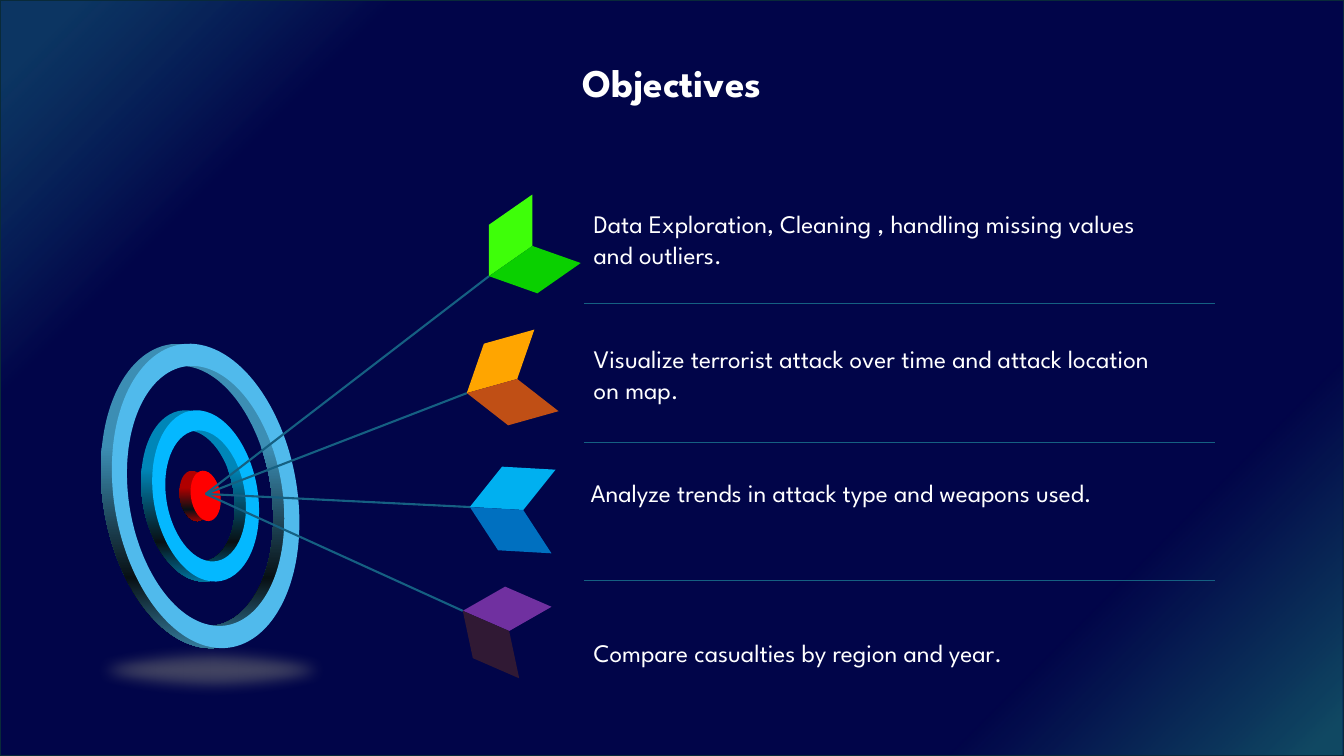
from math import cos, pi, radians, sin

from lxml.etree import SubElement
from pptx import Presentation
from pptx.dml.color import RGBColor
from pptx.enum.shapes import MSO_CONNECTOR, MSO_SHAPE
from pptx.enum.text import MSO_AUTO_SIZE, PP_ALIGN
from pptx.oxml import parse_xml
from pptx.oxml.ns import nsdecls, qn
from pptx.util import Inches, Pt

FONT = "League Spartan"
WHITE = RGBColor(0xFF, 0xFF, 0xFF)
BASE = RGBColor(0x00, 0x00, 0x66)
NAVY = RGBColor(0x02, 0x06, 0x46)
TEAL = RGBColor(0x10, 0x48, 0x62)
FRAME = RGBColor(0x09, 0x2A, 0x39)
LINE = RGBColor(0x15, 0x60, 0x82)
GREY = RGBColor(0x74, 0x74, 0x74)
BLACK = RGBColor(0x08, 0x10, 0x14)
SKY = RGBColor(0x50, 0xBA, 0xEC)
SKY_SIDE = RGBColor(0x3C, 0x8E, 0xB4)
CYAN = RGBColor(0x04, 0xB8, 0xFF)
CYAN_SIDE = RGBColor(0x00, 0x86, 0xB8)
RED = RGBColor(0xFF, 0x00, 0x00)
RED_SIDE = RGBColor(0xB0, 0x00, 0x00)
LIME = RGBColor(0x3E, 0xFF, 0x09)
GREEN = RGBColor(0x0A, 0xD0, 0x00)
ORANGE = RGBColor(0xFF, 0xA5, 0x00)
RUST = RGBColor(0xC0, 0x4F, 0x15)
AZURE = RGBColor(0x00, 0xB0, 0xF0)
BLUE = RGBColor(0x00, 0x70, 0xC0)
PURPLE = RGBColor(0x70, 0x30, 0xA0)
PLUM = RGBColor(0x30, 0x19, 0x34)

HUB = (2.04, 4.9)
CENTER = (2.04, 4.92)
DEPTH = 0.11
TILT = radians(10)
BEND = 0.55

RINGS = [
    ((0.93, 1.51), (0.78, 1.29), SKY, SKY_SIDE),
    ((0.53, 0.85), (0.4, 0.65), CYAN, CYAN_SIDE),
    ((0.15, 0.25), None, RED, RED_SIDE),
]
ARROWS = [
    ((4.85, 2.74), (5.28, 2.44), (0, -0.51), (0.48, 0.17), LIME, GREEN),
    ((4.63, 3.9), (5.13, 3.76), (0.17, -0.49), (0.41, 0.32), ORANGE, RUST),
    ((4.66, 5.03), (5.19, 5.06), (0.32, -0.4), (0.28, 0.43), AZURE, BLUE),
    ((4.59, 6.06), (5.05, 6.26), (0.42, -0.24), (0.1, 0.47), PURPLE, PLUM),
]
OBJECTIVES = [
    (5.79, 2.02, 0.71, "Data Exploration, Cleaning , handling missing values and outliers."),
    (5.79, 3.36, 0.71, "Visualize terrorist attack over time and attack location on map."),
    (5.76, 4.69, 0.71, "Analyze trends in attack type and weapons used."),
    (5.79, 6.27, 0.4, "Compare casualties by region and year."),
]
DIVIDERS = [3.01, 4.39, 5.76]


def set_gradient(sp, stops, angle):
    """Fill a shape with (position, colour, opacity) stops."""
    sp.fill.background()
    spPr = sp._element.spPr
    marks = "".join(
        f'<a:gs pos="{pos * 1000}"><a:srgbClr val="{color}">'
        f'<a:alpha val="{alpha * 1000}"/></a:srgbClr></a:gs>'
        for pos, color, alpha in stops
    )
    grad = parse_xml(
        f'<a:gradFill {nsdecls("a")} rotWithShape="1"><a:gsLst>{marks}</a:gsLst>'
        f'<a:lin ang="{angle * 60000}" scaled="0"/></a:gradFill>'
    )
    spPr.replace(spPr.find(qn("a:noFill")), grad)


def add_backdrop(s):
    """Cover the slide with the diagonal gradient."""
    s.background.fill.solid()
    s.background.fill.fore_color.rgb = BASE
    sp = s.shapes.add_shape(MSO_SHAPE.RECTANGLE, 0, 0, Inches(13.33), Inches(7.5))
    sp.shadow.inherit = False
    set_gradient(sp, [(2, TEAL, 100), (19, NAVY, 90), (81, NAVY, 90), (96, TEAL, 75)], 225)
    sp.line.color.rgb = FRAME
    sp.line.width = Pt(1.5)


def add_ground_shadow(s):
    """Draw the soft ellipse below the target."""
    sp = s.shapes.add_shape(
        MSO_SHAPE.OVAL, Inches(0.73), Inches(6.37), Inches(2.73), Inches(0.55)
    )
    sp.shadow.inherit = False
    sp.fill.solid()
    sp.fill.fore_color.rgb = GREY
    color = sp._element.spPr.find(qn("a:solidFill"))[0]
    SubElement(color, qn("a:alpha")).set("val", "56000")
    sp.line.fill.background()
    effects = sp._element.spPr.find(qn("a:effectLst"))
    SubElement(effects, qn("a:softEdge")).set("rad", str(Inches(0.14)))


def add_freeform(s, contours, color):
    """Draw closed contours as one filled outline."""
    scaled = [[(Inches(x), Inches(y)) for x, y in points] for points in contours]
    builder = s.shapes.build_freeform(*scaled[0][0])
    builder.add_line_segments(scaled[0][1:], close=True)
    for points in scaled[1:]:
        builder.move_to(*points[0])
        builder.add_line_segments(points[1:], close=True)
    sp = builder.convert_to_shape()
    sp.shadow.inherit = False
    sp.fill.solid()
    sp.fill.fore_color.rgb = color
    sp.line.fill.background()
    return sp


def tilted_ellipse(radii, shift, turn):
    """Return a leaning ellipse as a start and four curve triples."""
    rx, ry = radii

    def point(t, bend):
        """Return the point at angle t, moved along its tangent."""
        x = CENTER[0] + shift + rx * (cos(t) - bend * sin(t))
        y = CENTER[1] + ry * (sin(t + TILT) + bend * cos(t + TILT))
        return x, y

    points = [point(0, 0)]
    for i in range(4):
        t, end = turn * i * pi / 2, turn * (i + 1) * pi / 2
        points += [point(t, turn * BEND), point(end, -turn * BEND), point(end, 0)]
    return points


def curve_segments(sp):
    """Turn each three line segments of an outline into one curve."""
    segments = list(sp._element.iter(qn("a:lnTo")))
    for i in range(0, len(segments), 3):
        outline = segments[i].getparent()
        curve = SubElement(outline, qn("a:cubicBezTo"))
        segments[i].addprevious(curve)
        for segment in segments[i:i + 3]:
            curve.append(segment[0])
            outline.remove(segment)


def add_ring(s, outer, inner, face, side):
    """Draw a ring or disc with a shaded edge behind its face."""
    for shift, color in ((-DEPTH, side), (0, face)):
        contours = [tilted_ellipse(outer, shift, 1)]
        if inner:
            contours.append(tilted_ellipse(inner, shift, -1))
        sp = add_freeform(s, contours, color)
        curve_segments(sp)
        if shift:
            set_gradient(sp, [(0, side, 100), (35, side, 100), (75, BLACK, 100), (100, side, 100)], 90)


def add_line(s, start, end, width):
    """Draw a straight line between two points."""
    points = [Inches(v) for v in (*start, *end)]
    line = s.shapes.add_connector(MSO_CONNECTOR.STRAIGHT, *points)
    line.line.color.rgb = LINE
    line.line.width = Pt(width)
    SubElement(line._element.spPr, qn("a:effectLst"))


def add_arrow(s, tip, tail, upper, lower, upper_color, lower_color):
    """Draw a shaft from the bullseye and its two vanes."""
    add_line(s, HUB, tip, 1.5)
    for (dx, dy), color in ((upper, upper_color), (lower, lower_color)):
        vane = [tip, tail, (tail[0] + dx, tail[1] + dy), (tip[0] + dx, tip[1] + dy)]
        add_freeform(s, [vane], color)


def add_text(s, left, top, width, height, text, size, bold=False, align=PP_ALIGN.LEFT):
    """Add a wrapped white text box."""
    box = s.shapes.add_textbox(Inches(left), Inches(top), Inches(width), Inches(height))
    tf = box.text_frame
    tf.word_wrap = True
    tf.auto_size = MSO_AUTO_SIZE.SHAPE_TO_FIT_TEXT
    p = tf.paragraphs[0]
    p.text = text
    p.alignment = align
    font = p.runs[0].font
    font.name = FONT
    font.size = Pt(size)
    font.bold = bold
    font.color.rgb = WHITE


def main():
    """Build the objectives slide."""
    prs = Presentation()
    prs.slide_width, prs.slide_height = Inches(13.33), Inches(7.5)
    s = prs.slides.add_slide(prs.slide_layouts[6])
    add_backdrop(s)
    add_ground_shadow(s)
    for ring in RINGS:
        add_ring(s, *ring)
    add_text(s, 0, 0.53, 13.33, 0.57, "Objectives", 28, True, PP_ALIGN.CENTER)
    for left, top, height, text in OBJECTIVES:
        add_text(s, left, top, 5.89, height, text, 18)
    for y in DIVIDERS:
        add_line(s, (5.79, y), (12.05, y), 1)
    for arrow in ARROWS:
        add_arrow(s, *arrow)
    prs.save("out.pptx")


if __name__ == "__main__":
    main()
